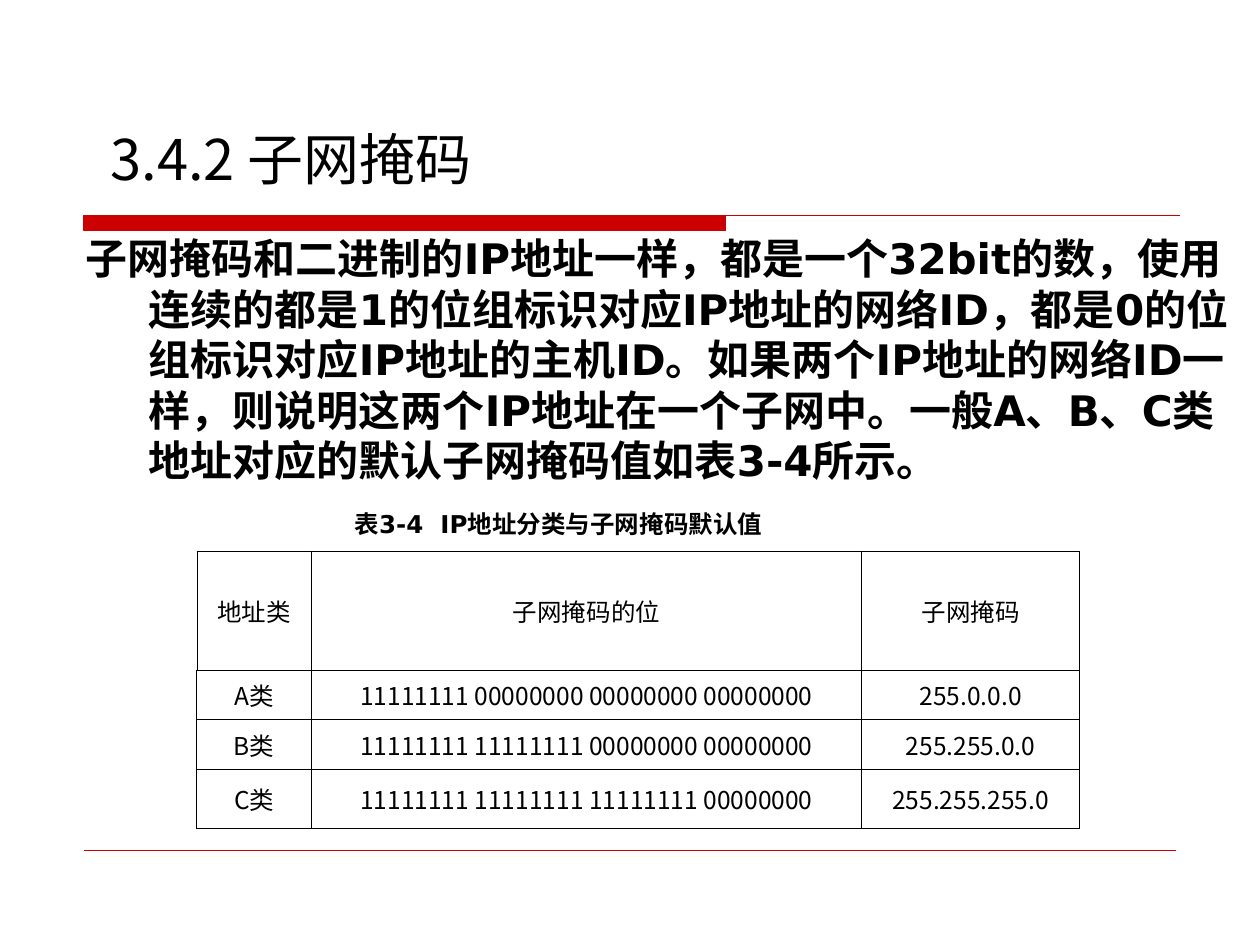
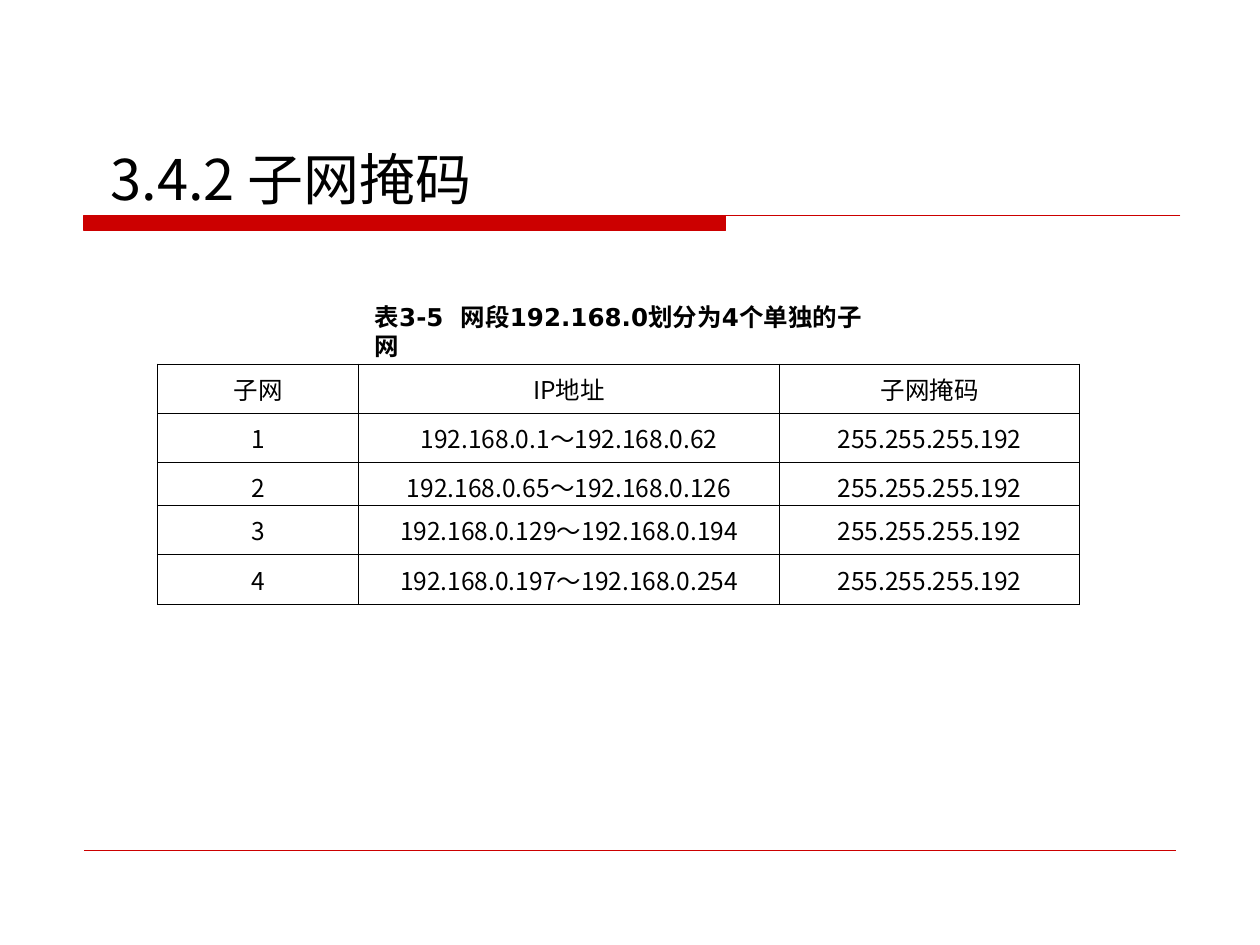
"""Build two slides on subnet masks, each with a captioned table."""
import pptx
import pptx.util
import pptx.dml.color
import pptx.enum.shapes
import pptx.enum.text
import pptx.oxml
import pptx.oxml.ns

Pt = pptx.util.Pt
qn = pptx.oxml.ns.qn
RED = pptx.dml.color.RGBColor(0xCC, 0x00, 0x00)
BLACK = pptx.dml.color.RGBColor(0x00, 0x00, 0x00)
TITLE_FONT = TABLE_FONT = "Noto Sans CJK SC"
TEXT_FONT = "DejaVu Sans"
THIN, THICK = 0.45, 0.75
TOP = pptx.enum.text.MSO_ANCHOR.TOP
MIDDLE = pptx.enum.text.MSO_ANCHOR.MIDDLE
BOTTOM = pptx.enum.text.MSO_ANCHOR.BOTTOM

topics = [
    {
        "title_top": 62,
        "body": "子网掩码和二进制的IP地址一样，都是一个32bit的数，使用连续的都是1的位组标识对应IP地址的网络ID，"
                "都是0的位组标识对应IP地址的主机ID。如果两个IP地址的网络ID一样，则说明这两个IP地址在一个子网中。"
                "一般A、B、C类地址对应的默认子网掩码值如表3-4所示。",
        "caption": "表3-4  IP地址分类与子网掩码默认值",
        "caption_box": (195.5, 287.5, 384, 24),
        "table_at": (112.5, 315),
        "columns": (65.5, 314.5, 124.5),
        "heights": (68, 28.25, 28.25, 34),
        "rows": [
            ("地址类", "子网掩码的位", "子网掩码"),
            ("A类", "11111111 00000000 00000000 00000000", "255.0.0.0"),
            ("B类", "11111111 11111111 00000000 00000000", "255.255.0.0"),
            ("C类", "11111111 11111111 11111111 00000000", "255.255.255.0"),
        ],
    },
    {
        "title_top": 73.5,
        "body": None,
        "caption": "表3-5  网段192.168.0划分为4个单独的子网",
        "caption_box": (207, 169, 303, 41),
        "table_at": (90, 208),
        "columns": (115, 240.5, 171.5),
        "heights": (28.25, 28.25, 24.25, 28.25, 28.25),
        "rows": [
            ("子网", "IP地址", "子网掩码"),
            ("1", "192.168.0.1～192.168.0.62", "255.255.255.192"),
            ("2", "192.168.0.65～192.168.0.126", "255.255.255.192"),
            ("3", "192.168.0.129～192.168.0.194", "255.255.255.192"),
            ("4", "192.168.0.197～192.168.0.254", "255.255.255.192"),
        ],
    },
]


def write(frame, text, font, size, bold=False):
    """Fill a text frame with one formatted paragraph and return it."""
    frame.text = text
    frame.word_wrap = True
    paragraph = frame.paragraphs[0]
    run = paragraph.runs[0]
    run.font.name = font
    run.font.size = Pt(size)
    run.font.bold = bold
    run.font.color.rgb = BLACK
    east_asian = pptx.oxml.parse_xml(
        '<a:ea xmlns:a="http://schemas.openxmlformats.org/drawingml/2006/main" '
        f'typeface="{font}"/>')
    run.font._element.find(qn("a:latin")).addnext(east_asian)
    return paragraph


def add_text(slide, box, text, font, size, bold, anchor):
    """Add a text box and return its paragraph."""
    frame = slide.shapes.add_textbox(*map(Pt, box)).text_frame
    frame.vertical_anchor = anchor
    return write(frame, text, font, size, bold)


deck = pptx.Presentation()
deck.slide_width, deck.slide_height = Pt(720), Pt(540)

for topic in topics:
    slide = deck.slides.add_slide(deck.slide_layouts[6])

    outline = slide.shapes.build_freeform(Pt(48), Pt(123))
    outline.add_line_segments(
        [(Pt(x), Pt(y)) for x, y in ((414.5, 123), (414.5, 131.75), (48, 131.75))])
    outline.move_to(Pt(48), Pt(123))
    outline.add_line_segments([(Pt(674.5), Pt(123))], close=False)
    title_band = outline.convert_to_shape()
    title_band.shadow.inherit = False
    title_band.fill.solid()
    title_band.fill.fore_color.rgb = RED
    title_band.line.color.rgb = RED
    title_band.line.width = Pt(0.75)

    footer_rule = slide.shapes.add_connector(
        pptx.enum.shapes.MSO_CONNECTOR.STRAIGHT, Pt(48), Pt(486), Pt(672), Pt(486))
    footer_rule.line.color.rgb = RED
    footer_rule.line.width = Pt(0.25)
    footer_rule._element.spPr.append(pptx.oxml.parse_xml(
        '<a:effectLst xmlns:a="http://schemas.openxmlformats.org/drawingml/2006/main"/>'))

    add_text(slide, (56, topic["title_top"], 612, 51), "3.4.2 子网掩码",
             TITLE_FONT, 32, False, BOTTOM)

    if topic["body"]:
        body = add_text(slide, (42, 129.5, 678, 151), topic["body"],
                        TEXT_FONT, 24, True, TOP)
        body_format = body._p.get_or_add_pPr()
        body_format.set("marL", str(Pt(36)))
        body_format.set("indent", str(-Pt(36)))

    add_text(slide, topic["caption_box"], topic["caption"], TEXT_FONT, 14, True, TOP)

    rows, columns, heights = topic["rows"], topic["columns"], topic["heights"]
    masks = slide.shapes.add_table(
        len(rows), len(columns), *map(Pt, topic["table_at"]),
        Pt(sum(columns)), Pt(sum(heights))).table
    masks.first_row = masks.horz_banding = False
    for column, width in zip(masks.columns, columns):
        column.width = Pt(width)
    for row, height in zip(masks.rows, heights):
        row.height = Pt(height)

    for r, entries in enumerate(rows):
        for c, entry in enumerate(entries):
            cell = masks.cell(r, c)
            cell.vertical_anchor = MIDDLE
            paragraph = write(cell.text_frame, entry, TABLE_FONT, 14)
            paragraph.alignment = pptx.enum.text.PP_ALIGN.CENTER
            left = THICK if c == 0 and r > 0 else THIN
            right = THICK if c == len(columns) - 1 else THIN
            for side, width in (("L", left), ("R", right), ("T", THIN), ("B", THIN)):
                cell._tc.get_or_add_tcPr().append(pptx.oxml.parse_xml(
                    f'<a:ln{side} xmlns:a="http://schemas.openxmlformats.org/drawingml/2006/main" '
                    f'w="{Pt(width)}"><a:solidFill><a:srgbClr val="{BLACK}"/></a:solidFill></a:ln{side}>'))
            cell.fill.background()

deck.save("out.pptx")
